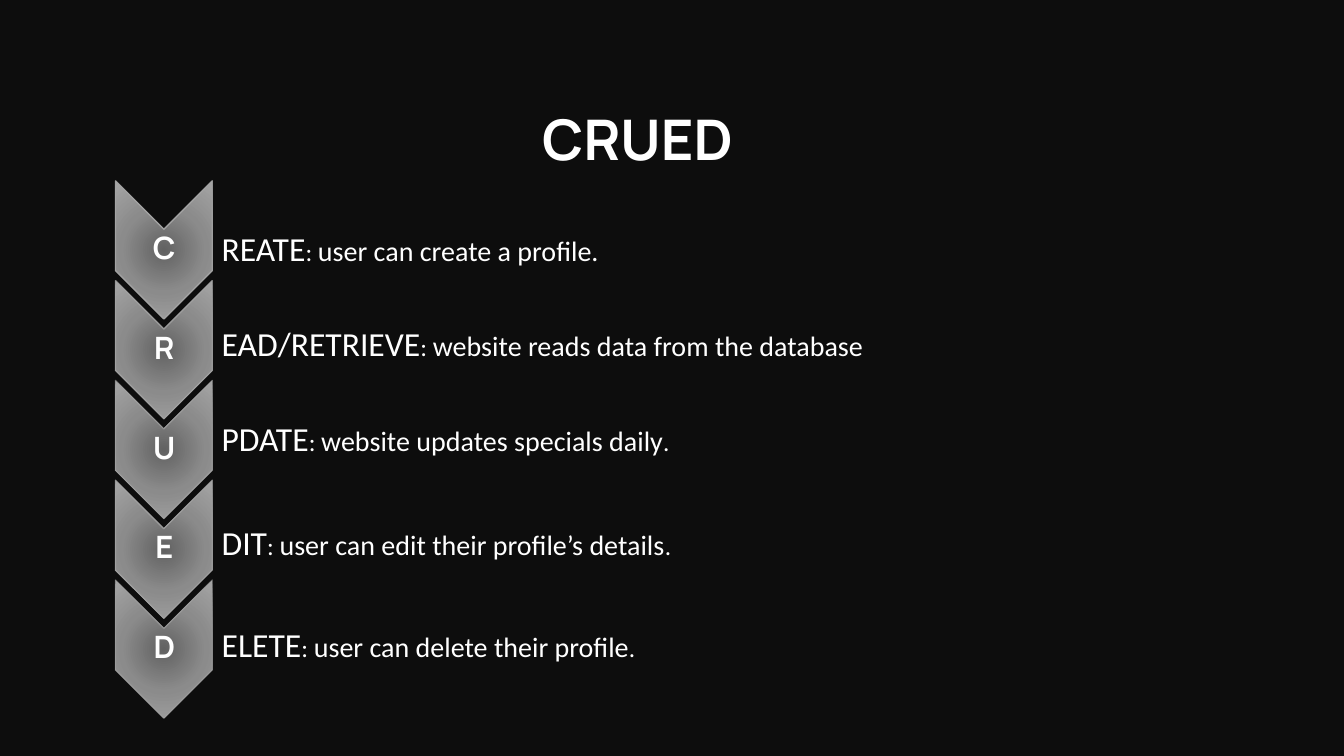
from lxml import etree
from pptx import Presentation
from pptx.dml.color import RGBColor
from pptx.enum.shapes import MSO_SHAPE
from pptx.enum.text import MSO_ANCHOR, PP_ALIGN
from pptx.oxml import parse_xml
from pptx.oxml.ns import nsdecls, qn
from pptx.util import Inches, Pt

CHEVRON = MSO_SHAPE.CHEVRON
TOP, MIDDLE = MSO_ANCHOR.TOP, MSO_ANCHOR.MIDDLE
LEFT, CENTER = PP_ALIGN.LEFT, PP_ALIGN.CENTER

WHITE, BLACK, SILVER = "FFFFFF", "0D0D0D", "A5A5A5"
STOPS = [(0, "626262"), (50, "8B8B8B"), (100, SILVER)]

CHEVRON_LENGTH, CHEVRON_WIDTH = 1.37, 0.96
CHEVRON_LEFT, FIRST_TOP, PITCH = 0.94, 2, 0.99
LETTER_LEFT, LETTER_DROP, LETTER_HEIGHT = 1.15, 0.27, 0.41
TEXT_LEFT, TEXT_HEIGHT = 2.1, 0.5

# letter, rest of the word, meaning, size of the full stop, text top, text width, line opacity
STEPS = [
    ("C", "REATE", "user can create a profile", 20, 2.21, 4.27, 90),
    ("R", "EAD/RETRIEVE", "website reads data from the database", None, 3.15, 7.19, 77),
    ("U", "PDATE", "website updates specials daily", 18, 4.1, 5.47, 63),
    ("E", "DIT", "user can edit their profile’s details", 18, 5.13, 5.06, 77),
    ("D", "ELETE", "user can delete their profile", 18, 6.14, 4.75, 50),
]


def color(value):
    return RGBColor.from_string(value)


def add_text(runs, left, top, width, height, font="Calibri", bold=False,
             align=LEFT, anchor=TOP, inset=None, line_spacing=None):
    """Add a text box with one paragraph of (text, size) runs."""
    box = slide.shapes.add_textbox(Inches(left), Inches(top), Inches(width), Inches(height))
    frame = box.text_frame
    frame.word_wrap = True
    frame.vertical_anchor = anchor
    if inset is not None:
        frame.margin_left = frame.margin_right = Inches(inset)
        frame.margin_top = frame.margin_bottom = Inches(inset)
    paragraph = frame.paragraphs[0]
    paragraph.alignment = align
    paragraph.line_spacing = line_spacing
    for text, size in runs:
        run = paragraph.add_run()
        run.text = text
        run.font.size = Pt(size)
        run.font.name = font
        run.font.bold = bold
        run.font.color.rgb = color(WHITE)


presentation = Presentation()
presentation.slide_width = Inches(13.33)
presentation.slide_height = Inches(7.5)
slide = presentation.slides.add_slide(presentation.slide_layouts[6])
slide.background.fill.solid()
slide.background.fill.fore_color.rgb = color(BLACK)

add_text([("CRUED", 40)], 5.28, 0.99, 2.57, 0.77, font="Manrope", bold=True)

stops_xml = "".join(
    f'<a:gs pos="{position * 1000}"><a:srgbClr val="{shade}"/></a:gs>'
    for position, shade in STOPS
)
gradient_xml = (
    f'<a:gradFill {nsdecls("a")} rotWithShape="1"><a:gsLst>{stops_xml}</a:gsLst>'
    '<a:path path="circle"><a:fillToRect l="50000" t="50000" r="50000" b="50000"/></a:path>'
    "</a:gradFill>"
)

for index, (letter, word, meaning, stop_size, text_top, text_width, opacity) in enumerate(STEPS):
    top = FIRST_TOP + index * PITCH
    chevron = slide.shapes.add_shape(
        CHEVRON, Inches(CHEVRON_LEFT), Inches(top), Inches(CHEVRON_LENGTH), Inches(CHEVRON_WIDTH))
    chevron.rotation = 90
    chevron.shadow.inherit = False
    chevron.line.width = Pt(1)
    chevron.line.color.rgb = color(SILVER)
    properties = chevron.element.spPr
    line_color = properties.find(".//" + qn("a:ln")).find(".//" + qn("a:srgbClr"))
    etree.SubElement(line_color, qn("a:alpha")).set("val", str(opacity * 1000))
    properties.find(qn("a:prstGeom")).addnext(parse_xml(gradient_xml))

    add_text([(letter, 22)], LETTER_LEFT, top + LETTER_DROP, CHEVRON_WIDTH, LETTER_HEIGHT,
             font="Manrope", bold=True, align=CENTER, anchor=MIDDLE, inset=0.02, line_spacing=0.9)

    runs = [(word, 24), (": ", 18), (meaning, 20)]
    if stop_size:
        runs.append((".", stop_size))
    add_text(runs, TEXT_LEFT, text_top, text_width, TEXT_HEIGHT)

presentation.save("out.pptx")
